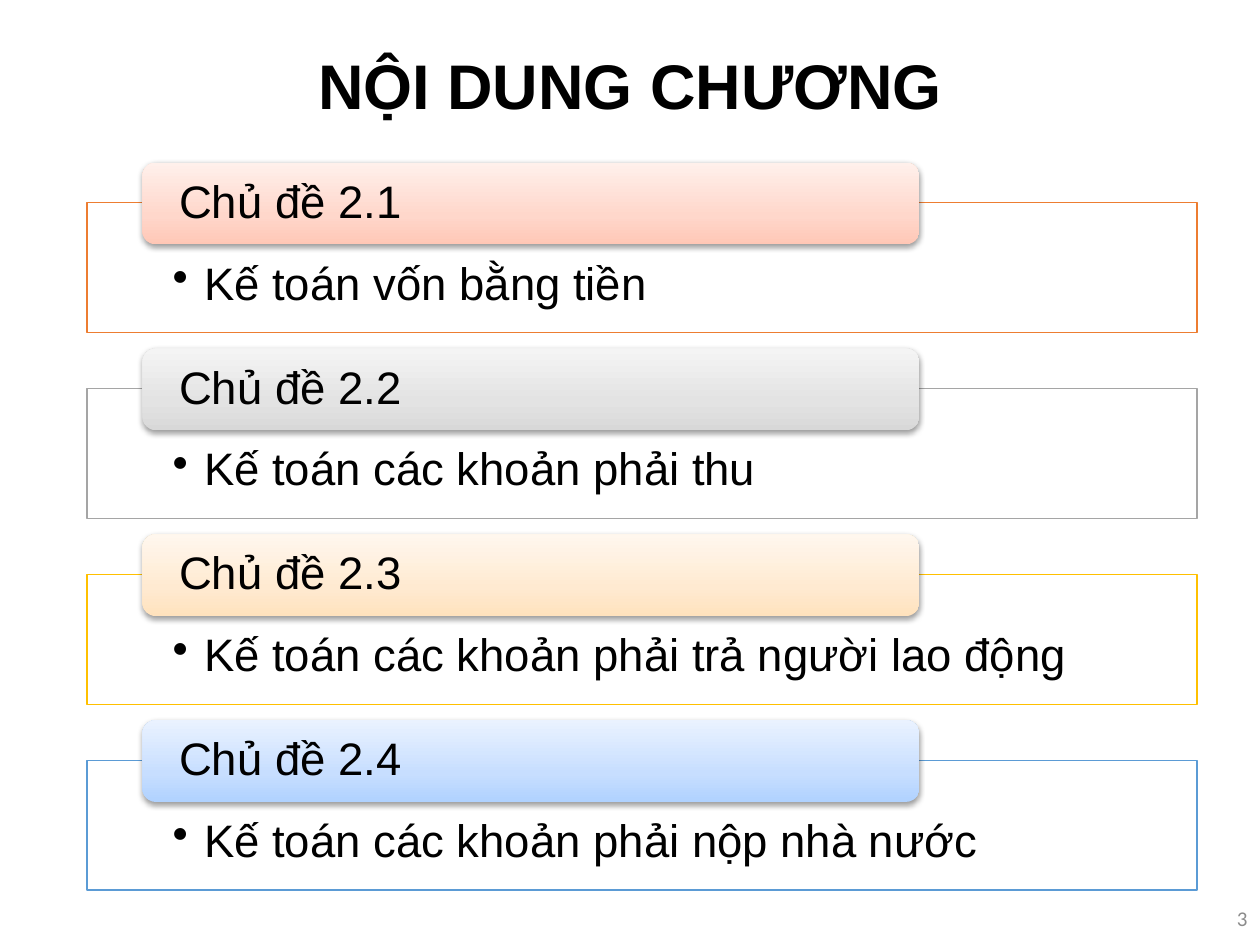
from lxml.etree import SubElement
from pptx import Presentation
from pptx.dml.color import RGBColor
from pptx.enum.shapes import MSO_SHAPE
from pptx.enum.text import MSO_ANCHOR, PP_ALIGN
from pptx.oxml.ns import qn
from pptx.util import Inches, Pt

COLORS = {"text": "000000", "number": "8C8C8C", "panel": "FFFFFF", "shadow": "000000"}
TOPICS = [
    ("Chủ đề 2.1", "Kế toán vốn bằng tiền", "ED7D31", ("FFC7B6", "FFD7CB", "FFF0EB")),
    ("Chủ đề 2.2", "Kế toán các khoản phải thu", "A5A5A5", ("D8D8D8", "E3E3E3", "F4F4F4")),
    ("Chủ đề 2.3", "Kế toán các khoản phải trả người lao động", "FFC000",
     ("FFE2BD", "FFEAD1", "FFF7EE")),
    ("Chủ đề 2.4", "Kế toán các khoản phải nộp nhà nước", "5B9BD5",
     ("B0D2FF", "C7DEFF", "EAF2FF")),
]
GRADIENT_POSITIONS = (0, 35, 100)
TOPIC_PITCH = 1.475
HEADING_HEIGHT = 0.65
PANEL_OFFSET = 0.32


def write_text(shape, text, size, align, color="text", font="Arial", bold=False,
               anchor=MSO_ANCHOR.MIDDLE, insets=(0.1, 0.05, 0.1, 0.05), bullet=False):
    frame = shape.text_frame
    frame.word_wrap = True
    frame.vertical_anchor = anchor
    frame.margin_left, frame.margin_top, frame.margin_right, frame.margin_bottom = map(
        Inches, insets)
    paragraph = frame.paragraphs[0]
    paragraph.text = text
    paragraph.alignment = align
    paragraph.line_spacing = 0.9
    if bullet:
        properties = paragraph._p.get_or_add_pPr()
        properties.set("marL", str(Inches(0.25)))
        properties.set("indent", str(Inches(-0.25)))
        SubElement(properties, qn("a:buChar"), char="•")
    paragraph.font.name = font
    paragraph.font.size = Pt(size)
    paragraph.font.bold = bold
    paragraph.font.color.rgb = RGBColor.from_string(COLORS[color])


def fill_gradient(shape, stop_colors):
    shape.fill.gradient()
    shape.fill.gradient_angle = 90
    stops = shape._element.spPr.find(".//" + qn("a:gsLst"))
    for stop in list(stops):
        stops.remove(stop)
    for position, color in zip(GRADIENT_POSITIONS, stop_colors):
        stop = SubElement(stops, qn("a:gs"), pos=str(position * 1000))
        SubElement(stop, qn("a:srgbClr"), val=color)


def add_shadow(shape):
    effects = shape._element.spPr.find(qn("a:effectLst"))
    shadow = SubElement(effects, qn("a:outerShdw"), blurRad=str(Pt(3.1)), dist=str(Pt(1.6)),
                        dir="5400000", rotWithShape="0")
    color = SubElement(shadow, qn("a:srgbClr"), val=COLORS["shadow"])
    SubElement(color, qn("a:alpha"), val="38000")


def add_box(slide, preset, left, top, width, height):
    shape = slide.shapes.add_shape(
        preset, Inches(left), Inches(top), Inches(width), Inches(height))
    shape.shadow.inherit = False
    return shape


def add_topic(slide, topic, left, top, width):
    heading_text, body_text, line_color, stop_colors = topic
    panel = add_box(slide, MSO_SHAPE.RECTANGLE, left, top + PANEL_OFFSET, width, 1.03)
    panel.fill.solid()
    panel.fill.fore_color.rgb = RGBColor.from_string(COLORS["panel"])
    panel_color = panel._element.spPr.find(qn("a:solidFill"))[0]
    SubElement(panel_color, qn("a:alpha"), val="90000")
    panel.line.color.rgb = RGBColor.from_string(line_color)
    panel.line.width = Pt(0.75)
    write_text(panel, body_text, 26, PP_ALIGN.JUSTIFY, anchor=MSO_ANCHOR.TOP,
               insets=(0.68, 0.46, 0.68, 0.2), bullet=True)

    heading = add_box(slide, MSO_SHAPE.ROUNDED_RECTANGLE, left + width * 0.05, top,
                      width * 0.7, HEADING_HEIGHT)
    fill_gradient(heading, stop_colors)
    heading.line.fill.background()
    add_shadow(heading)
    write_text(heading, heading_text, 26, PP_ALIGN.JUSTIFY, insets=(0.26, 0, 0.26, 0))


def add_topics(slide, left, top, width):
    for index, topic in enumerate(TOPICS):
        add_topic(slide, topic, left, top + index * TOPIC_PITCH, width)


def add_title(slide, left, top, width, height):
    title = slide.shapes.add_textbox(Inches(left), Inches(top), Inches(width), Inches(height))
    write_text(title, "NỘI DUNG CHƯƠNG", 36, PP_ALIGN.CENTER, bold=True)


def add_slide_number(slide, left, top, width, height):
    number = slide.shapes.add_textbox(Inches(left), Inches(top), Inches(width), Inches(height))
    write_text(number, "3", 12, PP_ALIGN.RIGHT, color="number", font="Calibri")


def main():
    presentation = Presentation()
    presentation.slide_width = Inches(10)
    presentation.slide_height = Inches(7.5)
    slide = presentation.slides.add_slide(presentation.slide_layouts[6])
    add_title(slide, 0.69, 0.15, 8.62, 1.11)
    add_slide_number(slide, 7.75, 7.1, 2.25, 0.4)
    add_topics(slide, 0.69, 1.29, 8.81)
    presentation.save("out.pptx")


if __name__ == "__main__":
    main()
